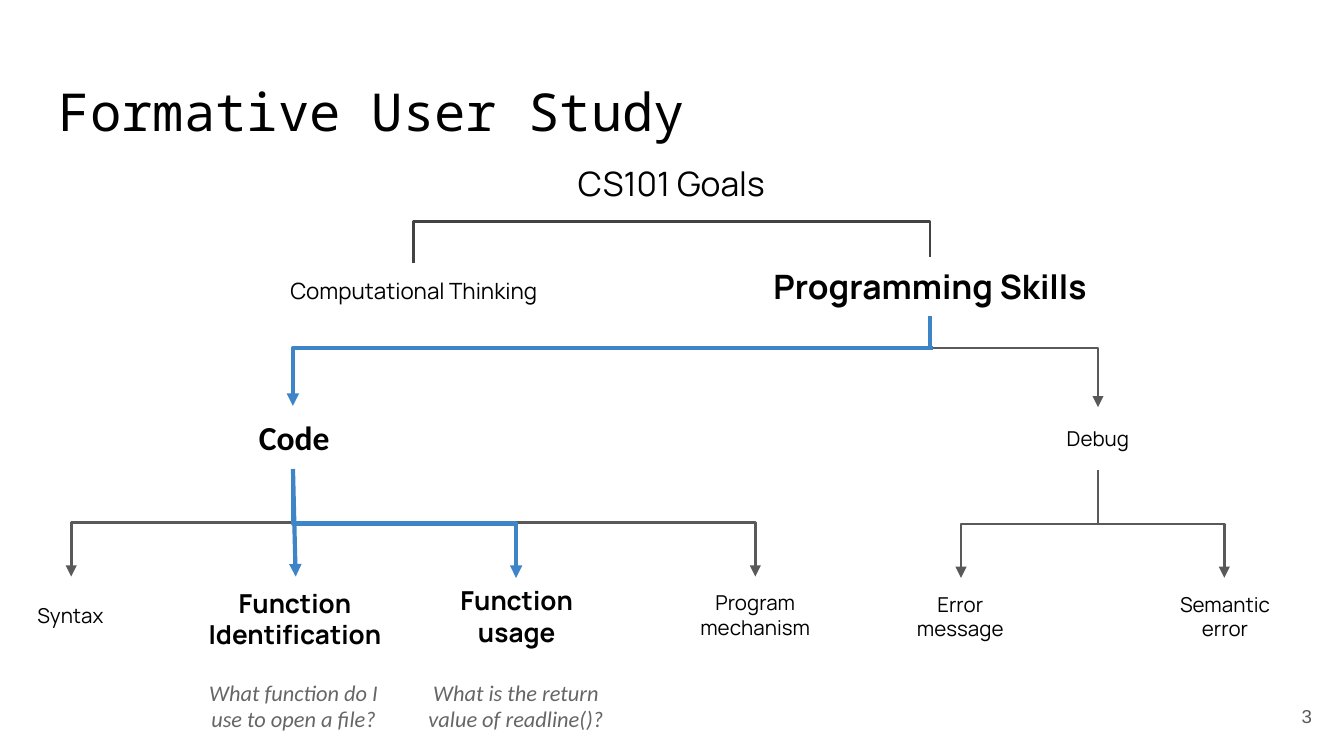
"""Build the Formative User Study slide, a tree of course goals."""
from pptx import Presentation
from pptx.dml.color import RGBColor
from pptx.enum.shapes import MSO_CONNECTOR as LINK
from pptx.enum.text import MSO_ANCHOR as ANCHOR, PP_ALIGN as ALIGN
from pptx.oxml.ns import qn
from pptx.util import Inches, Pt
from lxml.etree import SubElement

THEME = {
    "colors": {"ink": "000000", "grey": "595959", "dark": "434343", "blue": "3D85C6", "quote": "666666"},
    "styles": {
        "title": {"name": "Noto Sans Mono", "size": Pt(28)},
        "root": {"name": "Manrope", "size": Pt(18)},
        "goal": {"name": "Manrope", "size": Pt(12)},
        "key goal": {"name": "Manrope", "size": Pt(18), "bold": True},
        "key branch": {"name": "Calibri", "size": Pt(18), "bold": True},
        "leaf": {"name": "Manrope", "size": Pt(11)},
        "key leaf": {"name": "Manrope", "size": Pt(14), "bold": True},
        "question": {"name": "Calibri", "size": Pt(12), "italic": True},
        "number": {"name": "Arial", "size": Pt(10)},
    },
    "style colors": {"question": "quote", "number": "grey"},
    "aligns": {"title": ALIGN.LEFT, "number": ALIGN.RIGHT},
    "top styles": ("title", "root", "goal"),
    "space after": {"question": Pt(10)},
    "widths": {"grey": 1.5, "dark": 1.5, "blue": 2.25},
}

deck = Presentation()
deck.slide_width = Inches(10)
deck.slide_height = Inches(10 * 9 / 16)
page = deck.slides.add_slide(deck.slide_layouts[6])


def add_label(text, style, left, top, width, height):
    box = page.shapes.add_textbox(Inches(left), Inches(top), Inches(width), Inches(height))
    frame = box.text_frame
    frame.word_wrap = True
    frame.vertical_anchor = ANCHOR.TOP if style in THEME["top styles"] else ANCHOR.MIDDLE
    for side in ("left", "top", "right", "bottom"):
        setattr(frame, f"margin_{side}", Inches(0.1))
    para = frame.paragraphs[0]
    para.alignment = THEME["aligns"].get(style, ALIGN.CENTER)
    para.space_after = THEME["space after"].get(style)
    span = para.add_run()
    span.text = text
    for key, value in THEME["styles"][style].items():
        setattr(span.font, key, value)
    color = THEME["style colors"].get(style, "ink")
    span.font.color.rgb = RGBColor.from_string(THEME["colors"][color])


def add_link(kind, color, start, end, arrow=True, bend=None):
    (x1, y1), (x2, y2) = start, end
    turn = 0
    if kind == "fork":
        side = 1 if x2 < x1 else -1
        turn = 90 if side == 1 else 270
        mid_x, mid_y = (x1 + x2) / 2, (y1 + y2) / 2
        half_run, half_rise = side * (y2 - y1) / 2, abs(x2 - x1) / 2
        x1, x2 = mid_x - half_run, mid_x + half_run
        y1, y2 = mid_y - half_rise, mid_y + half_rise
    route = LINK.STRAIGHT if kind == "straight" else LINK.ELBOW
    link = page.shapes.add_connector(route, *map(Inches, (x1, y1, x2, y2)))
    link.line.color.rgb = RGBColor.from_string(THEME["colors"][color])
    link.line.width = Pt(THEME["widths"][color])
    props = link._element.spPr
    geometry = props.find(qn("a:prstGeom"))
    if turn:
        props.find(qn("a:xfrm")).set("rot", str(turn * 60000))
    if kind == "corner":
        geometry.set("prst", "bentConnector2")
    if bend is not None:
        ratio = (bend - start[1]) / (end[1] - start[1])
        guides = geometry.find(qn("a:avLst"))
        SubElement(guides, qn("a:gd"), name="adj1", fmla=f"val {round(ratio * 100000)}")
    if arrow:
        SubElement(props.find(qn("a:ln")), qn("a:tailEnd"), type="triangle")
    SubElement(props, qn("a:effectLst"))


labels = [
    ("3", "number", 9.26, 5.11, 0.6, 0.43),
    ("Formative User Study", "title", 0.34, 0.49, 9.32, 0.63),
    ("CS101 Goals", "root", 3.77, 1.11, 2.45, 0.63),
    ("Computational Thinking", "goal", 1.63, 1.96, 2.9, 0.44),
    ("Programming Skills", "key goal", 5.47, 1.91, 2.9, 0.44),
    ("Debug", "leaf", 6.72, 3.03, 2.9, 0.47),
    ("Code", "key branch", 0.74, 3.02, 2.9, 0.47),
    ("Syntax", "leaf", -0.02, 4.29, 1.09, 0.57),
    ("Function Identification", "key leaf", 1.42, 4.29, 1.55, 0.63),
    ("Function usage", "key leaf", 3.3, 4.3, 1.09, 0.57),
    ("Program mechanism", "leaf", 4.95, 4.29, 1.34, 0.57),
    ("Error message", "leaf", 6.6, 4.3, 1.09, 0.57),
    ("Semantic error", "leaf", 8.57, 4.29, 1.09, 0.59),
    ("What function do I use to open a file?", "question", 1.36, 4.87, 1.65, 0.76),
    ("What is the return value of readline()?", "question", 3.01, 4.87, 1.66, 0.76),
]
for label in labels:
    add_label(*label)

skills, code, debug = (6.94, 2.59), (2.18, 3.49), (8.17, 3.5)
add_link("fork", "dark", (3.08, 1.96), (6.92, 1.91), arrow=False, bend=1.65)
links = [
    ("corner", "grey", skills, (8.17, 3.03)),
    ("fork", "grey", code, (0.53, 4.29)),
    ("fork", "grey", code, (5.62, 4.29)),
    ("fork", "grey", debug, (7.15, 4.3)),
    ("fork", "grey", debug, (9.11, 4.3)),
    ("corner", "blue", skills, (2.18, 3.02)),
    ("fork", "blue", code, (3.84, 4.3)),
    ("straight", "blue", code, (2.2, 4.29)),
]
for link_row in links:
    add_link(*link_row)
add_link("straight", "blue", (6.92, 2.35), (6.92, 2.58), arrow=False)

deck.save("out.pptx")
